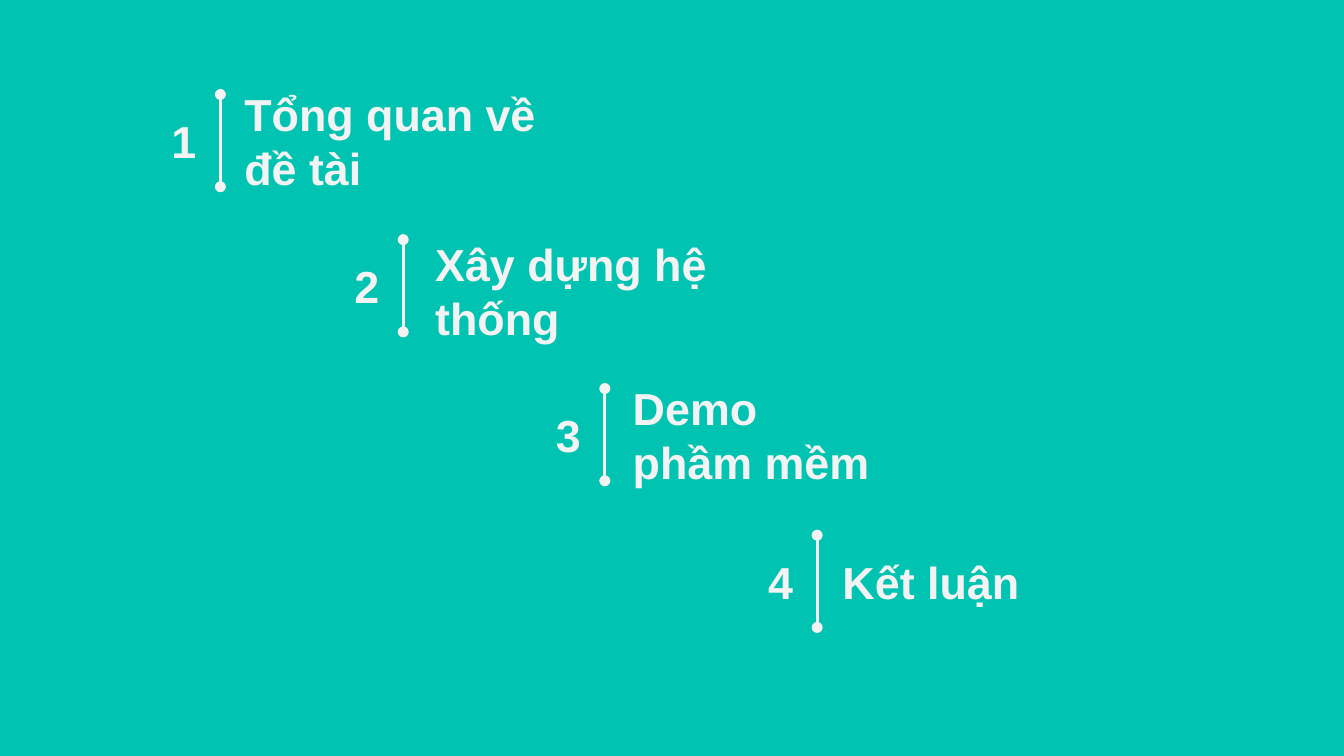
from dataclasses import dataclass

from lxml.etree import SubElement
from pptx import Presentation
from pptx.dml.color import RGBColor
from pptx.enum.shapes import MSO_CONNECTOR
from pptx.enum.text import MSO_ANCHOR, PP_ALIGN
from pptx.oxml.ns import qn
from pptx.util import Inches, Pt


@dataclass(frozen=True)
class Theme:
    background: RGBColor = RGBColor(0x00, 0xC3, 0xB1)
    ink: RGBColor = RGBColor(0xF3, 0xF3, 0xF3)
    font: str = "Arial"
    text_size: Pt = Pt(24)
    line_width: Pt = Pt(1.5)


@dataclass(frozen=True)
class AgendaItem:
    label: str
    divider_column: float
    center_row: float
    label_gap: float  # columns from divider to label
    label_width: float = 25.6
    label_drop: float = 0  # rows the label sits below its number


THEME = Theme()

# 16:9 slide on a grid of 100 columns and 100 rows
SLIDE_WIDTH = Inches(10)
SLIDE_HEIGHT = SLIDE_WIDTH * 9 // 16
GRID = 100

TEXT_ROWS = 8.2
NUMBER_COLUMNS = 6.6
NUMBER_GAP = 0.8
DIVIDER_ROWS = 12.2

AGENDA = [
    AgendaItem("Tổng quan về đề tài", 16.4, 18.6, 0.8),
    AgendaItem("Xây dựng hệ thống", 30, 37.8, 1.4, label_drop=0.6),
    AgendaItem("Demo \nphầm mềm", 45, 57.5, 1.1),
    AgendaItem("Kết luận", 60.8, 76.9, 0.9, label_width=30.5),
]


def across(columns):
    return round(SLIDE_WIDTH * columns / GRID)


def down(rows):
    return round(SLIDE_HEIGHT * rows / GRID)


def add_text(slide, text, left, center_row, width, alignment=PP_ALIGN.LEFT):
    box = slide.shapes.add_textbox(
        across(left), down(center_row - TEXT_ROWS / 2), across(width), down(TEXT_ROWS)
    )
    frame = box.text_frame
    frame.word_wrap = True
    frame.vertical_anchor = MSO_ANCHOR.MIDDLE
    frame.margin_left = frame.margin_right = Inches(0.1)
    frame.margin_top = frame.margin_bottom = Inches(0.1)
    paragraph = frame.paragraphs[0]
    paragraph.text = text
    paragraph.alignment = alignment
    paragraph.font.name = THEME.font
    paragraph.font.size = THEME.text_size
    paragraph.font.bold = True
    paragraph.font.color.rgb = THEME.ink


def add_divider(slide, column, center_row):
    x, half = across(column), DIVIDER_ROWS / 2
    divider = slide.shapes.add_connector(
        MSO_CONNECTOR.STRAIGHT, x, down(center_row - half), x, down(center_row + half)
    )
    divider.line.color.rgb = THEME.ink
    divider.line.width = THEME.line_width
    # Round dots at both ends, no shadow
    properties = divider._element.spPr
    line = properties.find(qn("a:ln"))
    for end in ("a:headEnd", "a:tailEnd"):
        SubElement(line, qn(end), type="oval")
    SubElement(properties, qn("a:effectLst"))


def add_agenda_item(slide, number, item):
    number_left = item.divider_column - NUMBER_GAP - NUMBER_COLUMNS
    add_text(slide, str(number), number_left, item.center_row, NUMBER_COLUMNS, PP_ALIGN.RIGHT)
    add_divider(slide, item.divider_column, item.center_row)
    add_text(
        slide, item.label, item.divider_column + item.label_gap,
        item.center_row + item.label_drop, item.label_width,
    )


def main():
    presentation = Presentation()
    presentation.slide_width = SLIDE_WIDTH
    presentation.slide_height = SLIDE_HEIGHT
    slide = presentation.slides.add_slide(presentation.slide_layouts[6])

    # Background
    slide.background.fill.solid()
    slide.background.fill.fore_color.rgb = THEME.background

    # Agenda, stepping down to the right
    for number, item in enumerate(AGENDA, start=1):
        add_agenda_item(slide, number, item)

    presentation.save("out.pptx")


if __name__ == "__main__":
    main()
